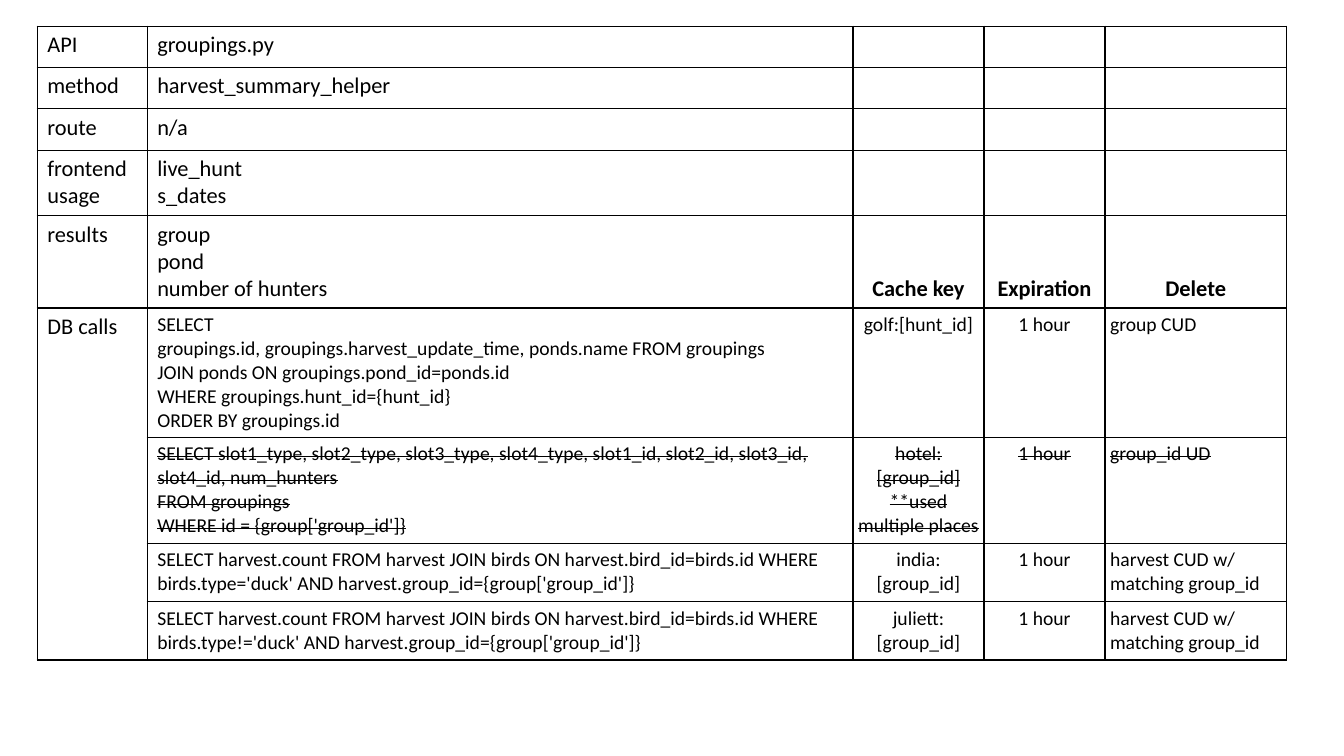
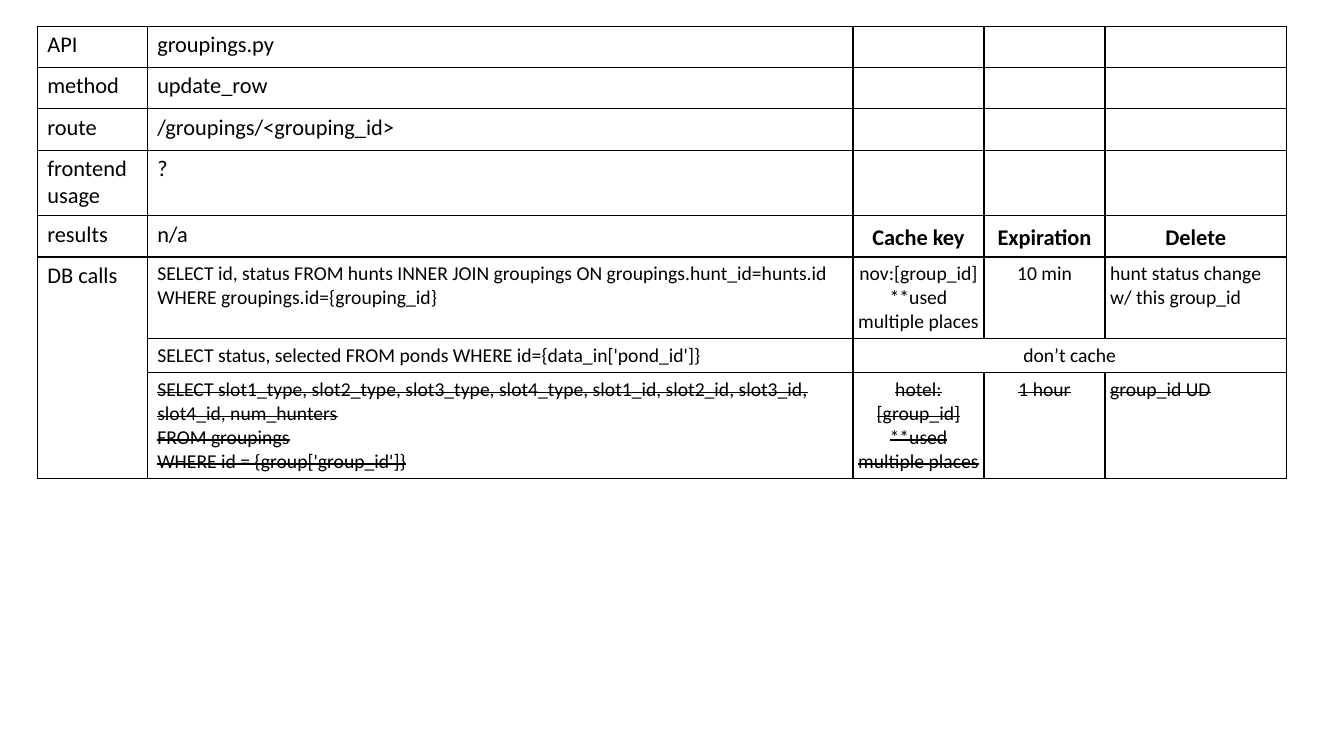
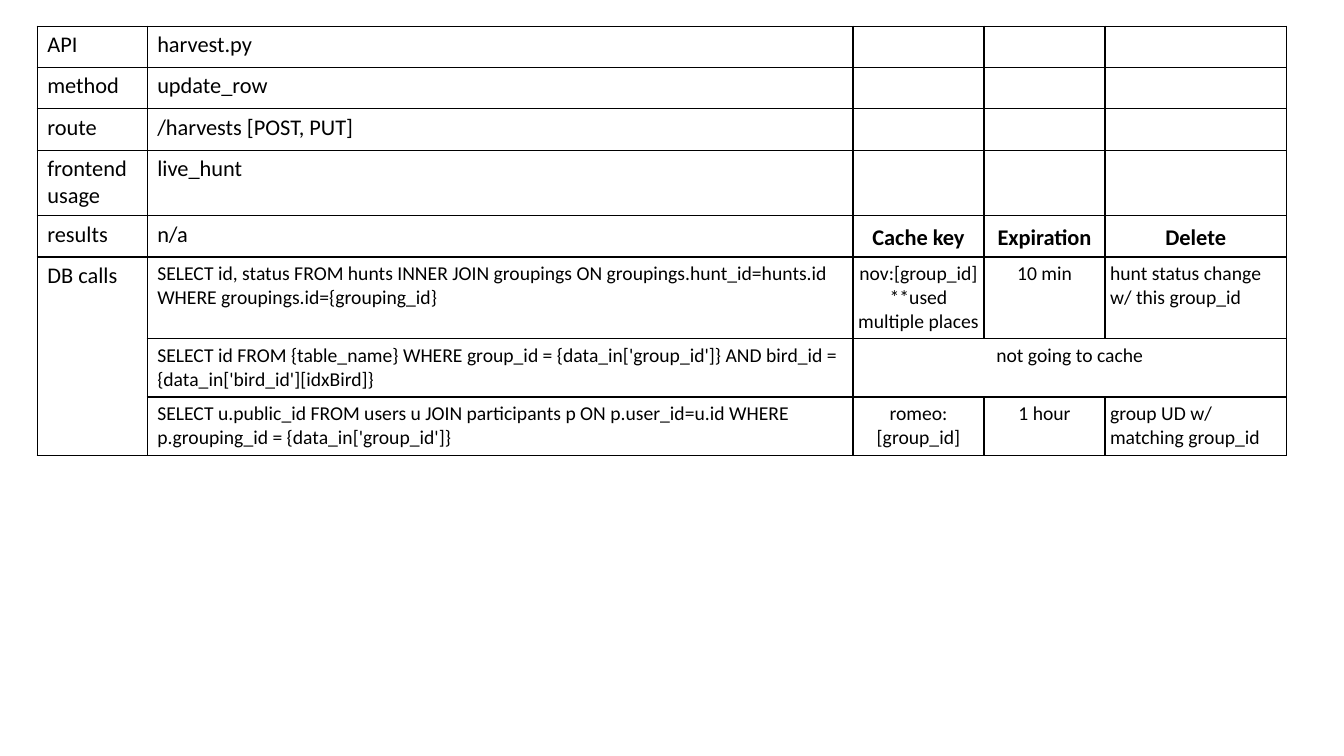
from lxml.etree import SubElement
from pptx import Presentation
from pptx.dml.color import RGBColor
from pptx.enum.text import MSO_ANCHOR, PP_ALIGN
from pptx.oxml import parse_xml
from pptx.oxml.ns import nsdecls, qn
from pptx.util import Inches, Pt

COLORS = {"ink": "000000"}
FONT = "Calibri"
COLUMN_WIDTHS = [1.09, 7, 1.3, 1.2, 1.8]
TABLE_BOX = (0.37, 0.26, sum(COLUMN_WIDTHS))
LABELS = ["API", "method", "route", "frontend \nusage", "results"]
CACHE_HEADINGS = ["Cache key", "Expiration", "Delete"]
LABEL_SIZE, CALL_SIZE = 16, 14
TIGHT = 0.05

SLOTS_CALL = {
    "height": 1.05,
    "query": "SELECT slot1_type, slot2_type, slot3_type, slot4_type, slot1_id, "
             "slot2_id, slot3_id, slot4_id, num_hunters\n"
             "FROM groupings\nWHERE id = {group['group_id']}",
    "cache": ["hotel:[group_id]\n**used multiple places", "1 hour", "group_id UD"],
    "strike": True,
}
HUNT_STATUS_CALL = {
    "height": 0.81,
    "query": "SELECT id, status FROM hunts INNER JOIN groupings ON "
             "groupings.hunt_id=hunts.id WHERE groupings.id={grouping_id}",
    "cache": ["nov:[group_id] **used multiple places", "10 min",
              "hunt status change w/ this group_id"],
}


def harvest_count_call(comparison, key):
    """Describe the harvest count query for one kind of bird."""
    return {
        "height": 0.58,
        "query": "SELECT harvest.count FROM harvest JOIN birds ON "
                 f"harvest.bird_id=birds.id WHERE birds.type{comparison}'duck' "
                 "AND harvest.group_id={group['group_id']}",
        "cache": [f"{key}:[group_id]", "1 hour", "harvest CUD w/ matching group_id"],
    }


ENDPOINTS = [
    {
        "summary": ["groupings.py", "harvest_summary_helper", "n/a",
                    "live_hunt\ns_dates", "group\npond\nnumber of hunters"],
        "results_height": 0.91,
        "calls": [
            {
                "height": 1.28,
                "query": "SELECT\ngroupings.id, groupings.harvest_update_time, "
                         "ponds.name FROM groupings\n"
                         "JOIN ponds ON groupings.pond_id=ponds.id\n"
                         "WHERE groupings.hunt_id={hunt_id}\nORDER BY groupings.id",
                "cache": ["golf:[hunt_id]", "1 hour", "group CUD"],
            },
            SLOTS_CALL,
            harvest_count_call("=", "india"),
            harvest_count_call("!=", "juliett"),
        ],
    },
    {
        "summary": ["groupings.py", "update_row", "/groupings/<grouping_id>", "?", "n/a"],
        "results_height": 0.41,
        "calls": [
            HUNT_STATUS_CALL,
            {
                "height": 0.34,
                "query": "SELECT status, selected FROM ponds WHERE id={data_in['pond_id']}",
                "cache": ["don\u2019t cache"],
            },
            SLOTS_CALL,
        ],
    },
    {
        "summary": ["harvest.py", "update_row", "/harvests [POST, PUT]", "live_hunt", "n/a"],
        "results_height": 0.41,
        "calls": [
            HUNT_STATUS_CALL,
            {
                "height": 0.58,
                "query": "SELECT id FROM {table_name} WHERE group_id = "
                         "{data_in['group_id']} AND bird_id = "
                         "{data_in['bird_id'][idxBird]}",
                "cache": ["not going to cache"],
            },
            {
                "height": 0.58,
                "query": "SELECT u.public_id FROM users u JOIN participants p ON "
                         "p.user_id=u.id WHERE p.grouping_id = {data_in['group_id']}",
                "cache": ["romeo:[group_id]", "1 hour", "group UD w/ matching group_id"],
            },
        ],
    },
]


def style_cell(cell):
    """Clear the fill, draw a thin border and size the empty paragraph."""
    cell.fill.background()
    properties = cell._tc.get_or_add_tcPr()
    for position, side in enumerate(["lnL", "lnR", "lnT", "lnB"]):
        properties.insert(position, parse_xml(
            f'<a:{side} {nsdecls("a")} w="12700"><a:solidFill>'
            f'<a:srgbClr val="{COLORS["ink"]}"/></a:solidFill></a:{side}>'))
    if not cell.text_frame.text:
        ending = SubElement(cell.text_frame.paragraphs[0]._p, qn("a:endParaRPr"))
        ending.set("sz", str(CALL_SIZE * 100))


def write_cell(cell, text, size=LABEL_SIZE, align=PP_ALIGN.LEFT, bold=False, strike=False):
    """Write each line of the text as a paragraph of one run."""
    frame = cell.text_frame
    for index, line in enumerate(text.split("\n")):
        paragraph = frame.add_paragraph() if index else frame.paragraphs[0]
        paragraph.alignment = align
        run = paragraph.add_run()
        run.text = line
        run.font.name = FONT
        run.font.size = Pt(size)
        run.font.bold = bold
        run.font.color.rgb = RGBColor.from_string(COLORS["ink"])
        if strike:
            run._r.get_or_add_rPr().set("strike", "sngStrike")


def write_summary(table, summary):
    """Fill the labelled rows and the cache headings beside the results."""
    for row, (label, value) in enumerate(zip(LABELS, summary)):
        write_cell(table.cell(row, 0), label)
        write_cell(table.cell(row, 1), value)
    for column, heading in enumerate(CACHE_HEADINGS, start=2):
        cell = table.cell(len(LABELS) - 1, column)
        cell.vertical_anchor = MSO_ANCHOR.BOTTOM
        write_cell(cell, heading, align=PP_ALIGN.CENTER, bold=True)


def write_calls(table, calls):
    """Fill the database calls with their queries and cache rules."""
    first, last = len(LABELS), len(LABELS) + len(calls) - 1
    table.cell(first, 0).merge(table.cell(last, 0))
    write_cell(table.cell(first, 0), "DB calls")
    for row, call in enumerate(calls, start=first):
        strike = call.get("strike", False)
        write_cell(table.cell(row, 1), call["query"], CALL_SIZE, strike=strike)
        if len(call["cache"]) == 1:
            table.cell(row, 2).merge(table.cell(row, 4))
        for column, rule in enumerate(call["cache"], start=2):
            cell = table.cell(row, column)
            cell.margin_left = cell.margin_right = Inches(TIGHT)
            cell.margin_top = cell.margin_bottom = Inches(TIGHT)
            align = PP_ALIGN.LEFT if column == 4 else PP_ALIGN.CENTER
            write_cell(cell, rule, CALL_SIZE, align, strike=strike)


def add_endpoint_table(slide, box, endpoint):
    """Place the table that documents one endpoint."""
    left, top, width = box
    calls = endpoint["calls"]
    heights = [0.41, 0.41, 0.41, 0.65, endpoint["results_height"]]
    heights += [call["height"] for call in calls]
    table = slide.shapes.add_table(
        len(heights), len(COLUMN_WIDTHS), Inches(left), Inches(top),
        Inches(width), Inches(sum(heights))).table
    table.first_row = table.horz_banding = False
    for column, column_width in zip(table.columns, COLUMN_WIDTHS):
        column.width = Inches(column_width)
    for row, height in zip(table.rows, heights):
        row.height = Inches(height)
    write_summary(table, endpoint["summary"])
    write_calls(table, calls)
    for cell in table.iter_cells():
        style_cell(cell)


def build_deck():
    """Build one slide per endpoint and save the deck."""
    deck = Presentation()
    deck.slide_width, deck.slide_height = Inches(13.33), Inches(7.5)
    for endpoint in ENDPOINTS:
        slide = deck.slides.add_slide(deck.slide_layouts[6])
        add_endpoint_table(slide, TABLE_BOX, endpoint)
    deck.save("out.pptx")


build_deck()
